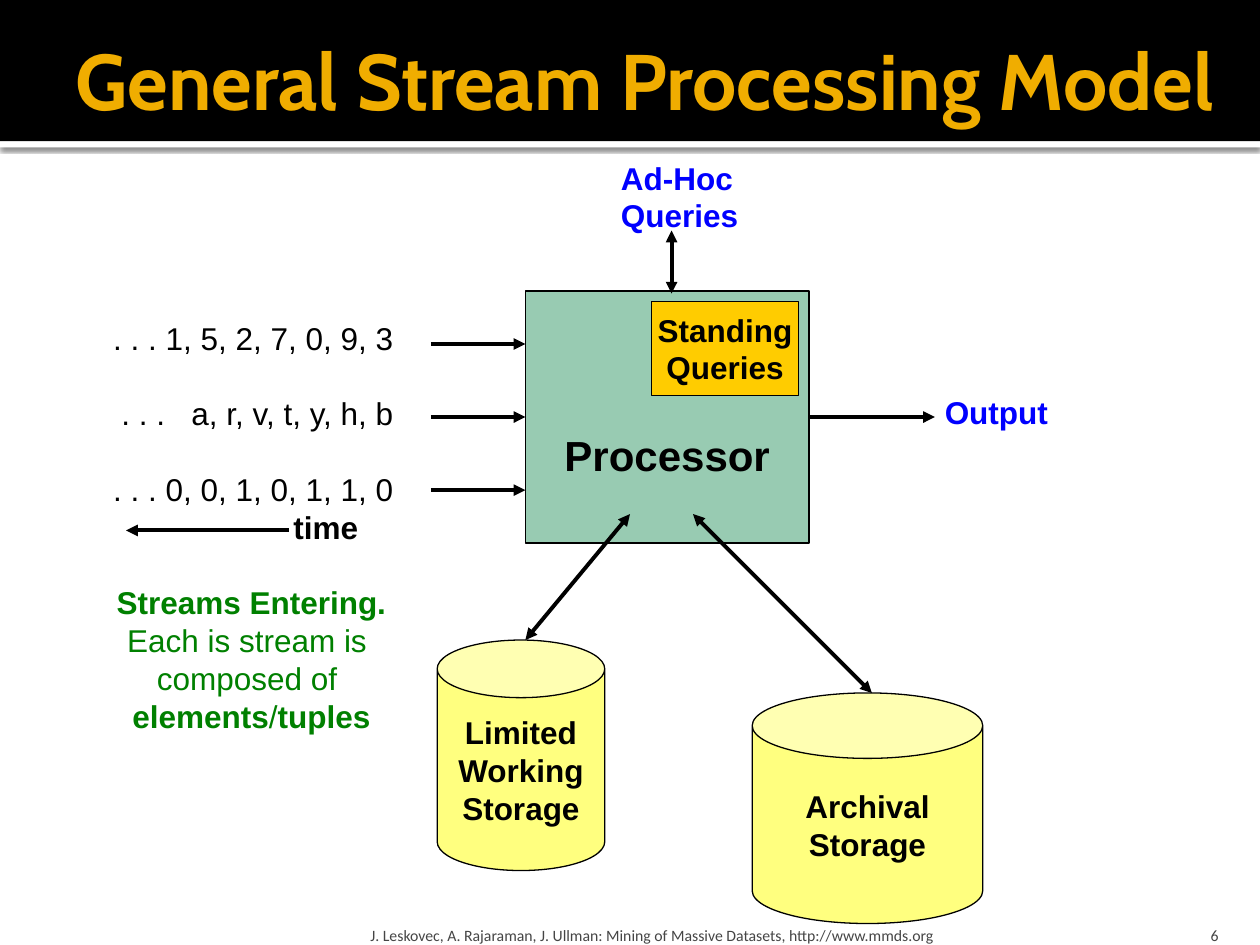
from pptx import Presentation
from pptx.dml.color import RGBColor
from pptx.enum.shapes import MSO_CONNECTOR, MSO_SHAPE
from pptx.enum.text import MSO_ANCHOR, PP_ALIGN
from pptx.oxml import parse_xml
from pptx.oxml.ns import nsdecls, qn
from pptx.util import Inches, Pt
from lxml.etree import SubElement

COLORS = {
    "black": "000000", "white": "FFFFFF", "title": "F0AD00", "footer": "454545",
    "processor": "339966", "storage": "FFFF00", "standing": "FFCC00",
    "blue": "0000FF", "green": "008000",
}
LEFT, CENTER, RIGHT = PP_ALIGN.LEFT, PP_ALIGN.CENTER, PP_ALIGN.RIGHT
LINE_FACTOR = 1.2


def rgb(name):
    return RGBColor.from_string(COLORS[name])


def setup_frame(tf, anchor=MSO_ANCHOR.TOP, wrap=False, insets=(0.1, 0.05, 0.1, 0.05)):
    tf.vertical_anchor = anchor
    tf.word_wrap = wrap
    sides = ("margin_left", "margin_top", "margin_right", "margin_bottom")
    for side, value in zip(sides, insets):
        setattr(tf, side, Inches(value))


def add_run(p, text, color="black", size=18, bold=False, font="Arial"):
    r = p.add_run()
    r.text = text
    for key, value in {"name": font, "size": Pt(size), "bold": bold}.items():
        setattr(r.font, key, value)
    r.font.color.rgb = rgb(color)
    return r


def add_paragraph(tf, first, align=LEFT, size=18, gap=False):
    p = tf.paragraphs[0] if first else tf.add_paragraph()
    p.alignment = align
    p.line_spacing = Pt(size * LINE_FACTOR)
    if gap:
        p.space_before = Pt(size * LINE_FACTOR)
    return p


def add_lines(tf, lines, align=LEFT, size=18, **fmt):
    for i, line in enumerate(lines):
        add_run(add_paragraph(tf, i == 0, align, size), line, size=size, **fmt)


def add_text(s, box, lines, align=LEFT, anchor=MSO_ANCHOR.TOP,
             insets=(0.1, 0.05, 0.1, 0.05), wrap=False, **fmt):
    tf = s.shapes.add_textbox(*map(Inches, box)).text_frame
    setup_frame(tf, anchor, wrap, insets)
    add_lines(tf, lines, align, **fmt)
    return tf


def add_block(s, kind, box, fill, lines=(), alpha=None, outline=True, size=18, top=0.05):
    sp = s.shapes.add_shape(kind, *map(Inches, box))
    sp.shadow.inherit = False
    sp.fill.solid()
    sp.fill.fore_color.rgb = rgb(fill)
    if alpha:
        color = sp._element.spPr.find(qn("a:solidFill")).find(qn("a:srgbClr"))
        SubElement(color, qn("a:alpha"), val=str(alpha * 1000))
    if outline:
        sp.line.color.rgb = rgb("black")
        sp.line.width = Pt(0.75)
    else:
        sp.line.fill.background()
    setup_frame(sp.text_frame, MSO_ANCHOR.MIDDLE, insets=(0.1, top, 0.1, 0.05))
    add_lines(sp.text_frame, lines, CENTER, size, bold=True)
    return sp


def add_can(s, box, adjust, lines):
    can = add_block(s, MSO_SHAPE.CAN, box, "storage", lines, alpha=50)
    can.adjustments[0] = adjust


def add_arrow(s, start, end, double=False):
    line = s.shapes.add_connector(MSO_CONNECTOR.STRAIGHT, *map(Inches, start + end))
    line.line.color.rgb = rgb("black")
    line.line.width = Pt(2.25)
    ln = line.line._get_or_add_ln()
    for tag in (("a:headEnd", "a:tailEnd") if double else ("a:tailEnd",)):
        SubElement(ln, qn(tag), type="triangle")
    SubElement(line._element.spPr, qn("a:effectLst"))


def add_header(s):
    rule = add_block(s, MSO_SHAPE.RECTANGLE, (0, 1.12, 10, 0.05), "white", outline=False)
    effects = rule._element.spPr.find(qn("a:effectLst"))
    effects.append(parse_xml(
        f'<a:outerShdw {nsdecls("a")} blurRad="{Pt(2.5)}" dist="{Pt(0.8)}" dir="5400000">'
        '<a:srgbClr val="000000"><a:alpha val="60000"/></a:srgbClr></a:outerShdw>'))
    add_block(s, MSO_SHAPE.RECTANGLE, (0, 0, 10, 1.12), "black", outline=False)

    title = s.shapes.title
    place = {"left": 0.5, "top": 0.17, "width": 9.5, "height": 0.92}
    for key, value in place.items():
        setattr(title, key, Inches(value))
    setup_frame(title.text_frame, MSO_ANCHOR.MIDDLE, True, (0.1, 0.05, 0.05, 0.05))
    p = title.text_frame.paragraphs[0]
    p.alignment = LEFT
    add_run(p, "General Stream Processing Model", "title", 45, True, "Cabin")
    s.shapes._spTree.append(title._element)  # bring in front of the black band


def add_footer(s):
    fmt = {"anchor": MSO_ANCHOR.BOTTOM, "wrap": True, "size": 9,
           "font": "Calibri", "color": "footer"}
    add_text(s, (2.89, 7.2, 6.02, 0.3),
             ["J. Leskovec, A. Rajaraman, J. Ullman: Mining of Massive Datasets, "
              "http://www.mmds.org"], insets=(0.05, 0.05, 0.05, 0), **fmt)
    add_text(s, (8.97, 7.2, 0.8, 0.3), ["6"], RIGHT, insets=(0.1, 0.05, 0.1, 0), **fmt)


def add_streams(s):
    tf = s.shapes.add_textbox(*map(Inches, (0.77, 2.48, 2.45, 3.43))).text_frame
    setup_frame(tf, wrap=True)
    streams = [(". . .", "1, 5, 2, 7, 0, 9, 3", 0),
               (". . .", "a, r, v, t, y, h, b", 10),
               (". . .", "0, 0, 1, 0, 1, 1, 0", 0)]
    for i, (dots, values, extra) in enumerate(streams):
        p = add_paragraph(tf, i == 0, RIGHT, gap=i > 0)
        add_run(p, dots)
        space = add_run(p, " ")
        if extra:  # widen the gap after the dots
            space._r.get_or_add_rPr().set("spc", str(extra * 100))
        add_run(p, values)

    # Time label, indented past its arrow
    p = add_paragraph(tf, False)
    p._p.get_or_add_pPr().set("marL", str(Inches(1.46)))
    add_run(p, "time", bold=True)

    # Caption: lines of (text, bold) runs
    caption = [[("Streams Entering.", True)], [("Each is stream is ", False)],
               [("composed of ", False)],
               [("elements", True), ("/", False), ("tuples", True)]]
    for i, runs in enumerate(caption):
        p = add_paragraph(tf, False, CENTER, gap=i == 0)
        for text, bold in runs:
            add_run(p, text, "green", bold=bold)


def main():
    prs = Presentation()
    prs.slide_width, prs.slide_height = Inches(10), Inches(7.5)
    s = prs.slides.add_slide(prs.slide_layouts[5])
    add_header(s)
    add_footer(s)

    # Processor and working storage
    add_block(s, MSO_SHAPE.RECTANGLE, (4.17, 2.31, 2.25, 2), "processor",
              ["Processor"], alpha=50, size=24, top=0.65)
    add_can(s, (3.47, 5.08, 1.33, 1.83), 0.344, ["Limited", "Working", "Storage"])
    add_arrow(s, (5, 4.08), (4.17, 5.08), double=True)

    # Incoming streams
    for i in range(3):
        y = 2.73 + 0.58 * i
        add_arrow(s, (3.42, y), (4.17, y))
    add_streams(s)
    add_arrow(s, (2.29, 4.21), (1, 4.21))

    # Queries and output
    add_text(s, (4.83, 1.21, 1.14, 0.71), ["Ad-Hoc", "Queries"], color="blue", bold=True)
    add_arrow(s, (5.33, 1.83), (5.33, 2.33), double=True)
    add_text(s, (7.4, 3.07, 1.03, 0.4), ["Output"], color="blue", bold=True)
    add_arrow(s, (6.42, 3.31), (7.42, 3.31))

    # Archival storage and standing queries
    add_can(s, (5.97, 5.5, 1.83, 1.83), 0.284, ["Archival", "Storage"])
    add_arrow(s, (5.5, 4.08), (6.92, 5.5), double=True)
    add_block(s, MSO_SHAPE.RECTANGLE, (5.17, 2.39, 1.17, 0.75), "standing",
              ["Standing", "Queries"])
    prs.save("out.pptx")


if __name__ == "__main__":
    main()
